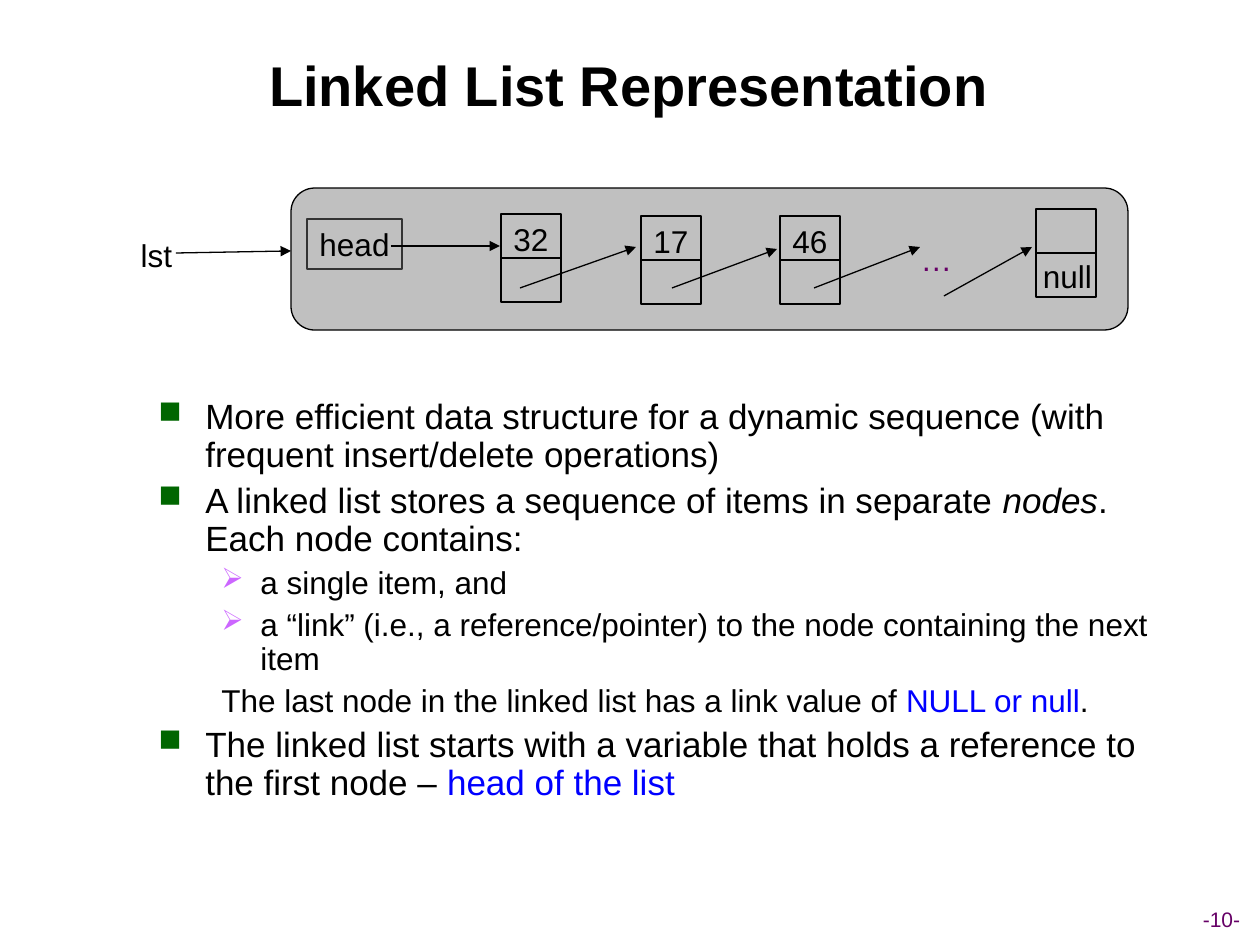
"""Build the Linked List Representation slide."""
from lxml.etree import SubElement
from pptx import Presentation
from pptx.dml.color import RGBColor
from pptx.enum.shapes import MSO_CONNECTOR, MSO_SHAPE
from pptx.enum.text import MSO_ANCHOR, PP_ALIGN
from pptx.oxml.ns import qn
from pptx.util import Pt

PX = 914400 / 126
BLACK = RGBColor(0x00, 0x00, 0x00)
DARK = RGBColor(0x33, 0x33, 0x33)
GREY = RGBColor(0xC0, 0xC0, 0xC0)
PLUM = RGBColor(0x66, 0x00, 0x66)
BLUE = RGBColor(0x00, 0x00, 0xFF)
GREEN = RGBColor(0x00, 0x66, 0x00)
LILAC = RGBColor(0xCC, 0x66, 0xFF)


def emu(*nums):
    return [round(num * PX) for num in nums]


def write(para, text, size, color=BLACK, **more):
    run = para.add_run()
    run.text = text
    run.font.color.rgb = color
    form = {"name": "Arial", "size": Pt(size), **more}
    for key, val in form.items():
        setattr(run.font, key, val)


deck = Presentation()
deck.slide_width, deck.slide_height = emu(1260, 945)
slide = deck.slides.add_slide(deck.slide_layouts[5])
shapes = slide.shapes

title = shapes.title
title.left, title.top, title.width, title.height = emu(45, 24, 1168, 120)
title.text_frame.vertical_anchor = MSO_ANCHOR.MIDDLE
head = title.text_frame.paragraphs[0]
head.alignment = PP_ALIGN.CENTER
write(head, "Linked List Representation", 32, bold=True)

panel = shapes.add_shape(MSO_SHAPE.ROUNDED_RECTANGLE, *emu(291, 188, 837, 142))
panel.shadow.inherit = False
panel.fill.solid()
panel.fill.fore_color.rgb = GREY
panel.line.color.rgb = BLACK
panel.line.width = Pt(0.75)

boxes = [
    ("head", (307, 219, 95, 50), DARK),
    ("32", (501, 214, 60, 88), BLACK),
    ("17", (641, 216, 60, 88), BLACK),
    ("46", (780, 216, 60, 88), BLACK),
    ("", (1036, 209, 60, 88), BLACK),
]
nodes = []
for text, place, color in boxes:
    box = shapes.add_shape(MSO_SHAPE.RECTANGLE, *emu(*place))
    box.shadow.inherit = False
    box.fill.background()
    box.line.color.rgb = color
    box.line.width = Pt(0.75)
    if text:
        frame = box.text_frame
        frame.word_wrap = False
        frame.vertical_anchor = MSO_ANCHOR.TOP
        frame.paragraphs[0].alignment = PP_ALIGN.CENTER
        write(frame.paragraphs[0], text, 18)
    if text != "head":
        nodes.append(box)

labels = [
    ("…", (908, 234, 57, 88), 18, PLUM, MSO_ANCHOR.TOP),
    ("null", (1030, 251, 75, 50), 18, BLACK, MSO_ANCHOR.TOP),
    ("lst", (128, 230, 57, 50), 18, BLACK, MSO_ANCHOR.MIDDLE),
    ("-10-", (1154, 900, 135, 38), 12, PLUM, MSO_ANCHOR.MIDDLE),
]
for text, place, size, color, anchor in labels:
    frame = shapes.add_textbox(*emu(*place)).text_frame
    frame.word_wrap = False
    frame.vertical_anchor = anchor
    frame.paragraphs[0].alignment = PP_ALIGN.CENTER
    write(frame.paragraphs[0], text, size, color)

links = []
for node in nodes:
    link = shapes.add_connector(MSO_CONNECTOR.STRAIGHT, 0, 0, 0, 0)
    link.begin_connect(node, 1)
    link.end_connect(node, 3)
    links.append((link, False))

arrows = [
    (176, 253, 291, 251),
    (391, 246, 500, 246),
    (520, 288, 636, 247),
    (672, 288, 777, 249),
    (814, 288, 920, 247),
    (944, 296, 1032, 247),
]
for ends in arrows:
    link = shapes.add_connector(MSO_CONNECTOR.STRAIGHT, *emu(*ends))
    links.append((link, True))

for link, tip in links:
    link.line.color.rgb = BLACK
    link.line.width = Pt(0.75)
    if tip:
        SubElement(link.line._get_or_add_ln(), qn("a:tailEnd"), type="triangle")
    SubElement(link._element.spPr, qn("a:effectLst"))

body = shapes.add_textbox(*emu(146, 393, 1056, 484)).text_frame
body.word_wrap = True
levels = [
    {"size": 20, "left": 47, "hang": 47, "gap": 5},
    {"size": 18, "left": 102, "hang": 39, "gap": 4.5},
]
points = [
    (0, "■", [("More efficient data structure for a dynamic sequence "
               "(with frequent insert/delete operations)", {})]),
    (0, "■", [("A linked list stores a sequence of items in separate ", {}),
              ("nodes", {"italic": True}),
              (". Each node contains:", {})]),
    (1, "➢", [("a single item, and", {})]),
    (1, "➢", [("a “link” (i.e., a reference/pointer) to the node "
               "containing the next item", {})]),
    (1, "", [("The last node in the linked list has a link value of ", {}),
             ("NULL or null", {"color": BLUE}),
             (".", {})]),
    (0, "■", [("The linked list starts with a variable that holds a "
               "reference to the first node – ", {}),
              ("head of the list", {"color": BLUE})]),
]
for rank, (level, mark, parts) in enumerate(points):
    form = levels[level]
    para = body.add_paragraph() if rank else body.paragraphs[0]
    para.level = level
    para.line_spacing = 0.9
    para.space_before = Pt(form["gap"] if rank else 0)
    left, hang = emu(form["left"], form["hang"])
    props = para._p.get_or_add_pPr()
    props.set("marL", str(left))
    props.set("indent", str(-hang))
    if mark:
        tint = SubElement(props, qn("a:buClr"))
        SubElement(tint, qn("a:srgbClr"), val=str(LILAC if level else GREEN))
        SubElement(props, qn("a:buSzPct"), val="90000")
        SubElement(props, qn("a:buChar"), char=mark)
    for text, more in parts:
        write(para, text, form["size"], **more)

deck.save("out.pptx")
